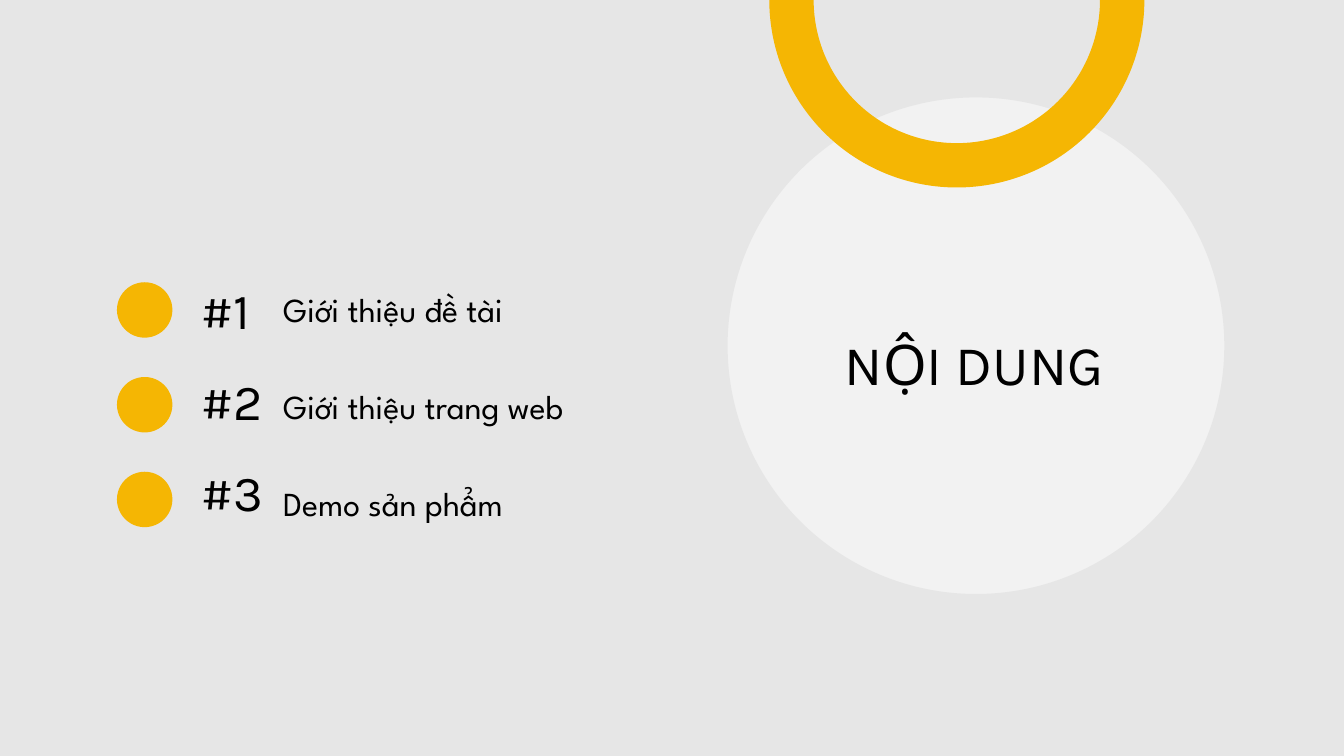
from pptx import Presentation
from pptx.dml.color import RGBColor
from pptx.enum.shapes import MSO_SHAPE
from pptx.enum.text import MSO_ANCHOR, PP_ALIGN
from pptx.util import Inches, Pt

OVAL, DONUT = MSO_SHAPE.OVAL, MSO_SHAPE.DONUT
TOP, LEFT = MSO_ANCHOR.TOP, PP_ALIGN.LEFT
TITLE_ONLY = 5

COLORS = {"background": "E6E6E6", "disc": "F2F2F2", "accent": "F5B603", "text": "000000"}
HEADING_FONT, BODY_FONT = "Karla", "League Spartan"

TITLE = "NỘI DUNG"
TOPICS = ["Giới thiệu đề tài", "Giới thiệu trang web", "Demo sản phẩm"]


def color(name):
    return RGBColor.from_string(COLORS[name])


def add_round(slide, kind, x, y, size, fill, line=None):
    sp = slide.shapes.add_shape(kind, Inches(x), Inches(y), Inches(size), Inches(size))
    sp.shadow.inherit = False
    sp.fill.solid()
    sp.fill.fore_color.rgb = color(fill)
    if line:
        sp.line.color.rgb = color(line)
        sp.line.width = Pt(1)
    else:
        sp.line.fill.background()
    return sp


def write(sp, text, font, size):
    tf = sp.text_frame
    tf.word_wrap = True
    tf.vertical_anchor = TOP
    tf.text = text
    p = tf.paragraphs[0]
    p.alignment = LEFT
    p.line_spacing = 1.0
    p.space_before = Pt(0)
    r = p.runs[0]
    r.font.name = font
    r.font.size = Pt(size)
    r.font.color.rgb = color("text")


def add_label(slide, x, y, w, h, text, font, size):
    sp = slide.shapes.add_textbox(Inches(x), Inches(y), Inches(w), Inches(h))
    write(sp, text, font, size)


def add_agenda(slide, x, y):
    """One row per topic: dot, number, topic; each column has its own row pitch."""
    for row, topic in enumerate(TOPICS):
        add_round(slide, OVAL, x, y + 0.08 + 0.94 * row, 0.55, "accent")
        add_label(slide, x + 0.74, y + 0.905 * row, 0.81, 0.71,
                  f"#{row + 1}", HEADING_FONT, 36)
        add_label(slide, x + 1.55, y + 0.1 + 0.96 * row, 3.32, 0.5,
                  topic, BODY_FONT, 24)


def add_title_disc(slide, x, y, size):
    """Pale disc with the title, and a ring hanging over its upper edge."""
    add_round(slide, OVAL, x, y, size, "disc", line="background")

    ring_size, ring_width = 3.72, 0.44
    ring = add_round(slide, DONUT, x + 0.42, -ring_size / 2, ring_size, "accent")
    ring.adjustments[0] = ring_width / ring_size

    # Title in front of the disc
    title = slide.shapes.title
    title.left, title.top = Inches(x + 1.07), Inches(y + 2.26)
    title.width, title.height = Inches(3.15), Inches(0.77)
    write(title, TITLE, HEADING_FONT, 40)
    slide.shapes._spTree.append(title._element)


def main():
    prs = Presentation()
    prs.slide_width, prs.slide_height = Inches(13.33), Inches(7.5)
    s = prs.slides.add_slide(prs.slide_layouts[TITLE_ONLY])
    s.background.fill.solid()
    s.background.fill.fore_color.rgb = color("background")

    add_agenda(s, 1.16, 2.72)
    add_title_disc(s, 7.21, 0.96, 4.94)
    prs.save("out.pptx")


if __name__ == "__main__":
    main()
